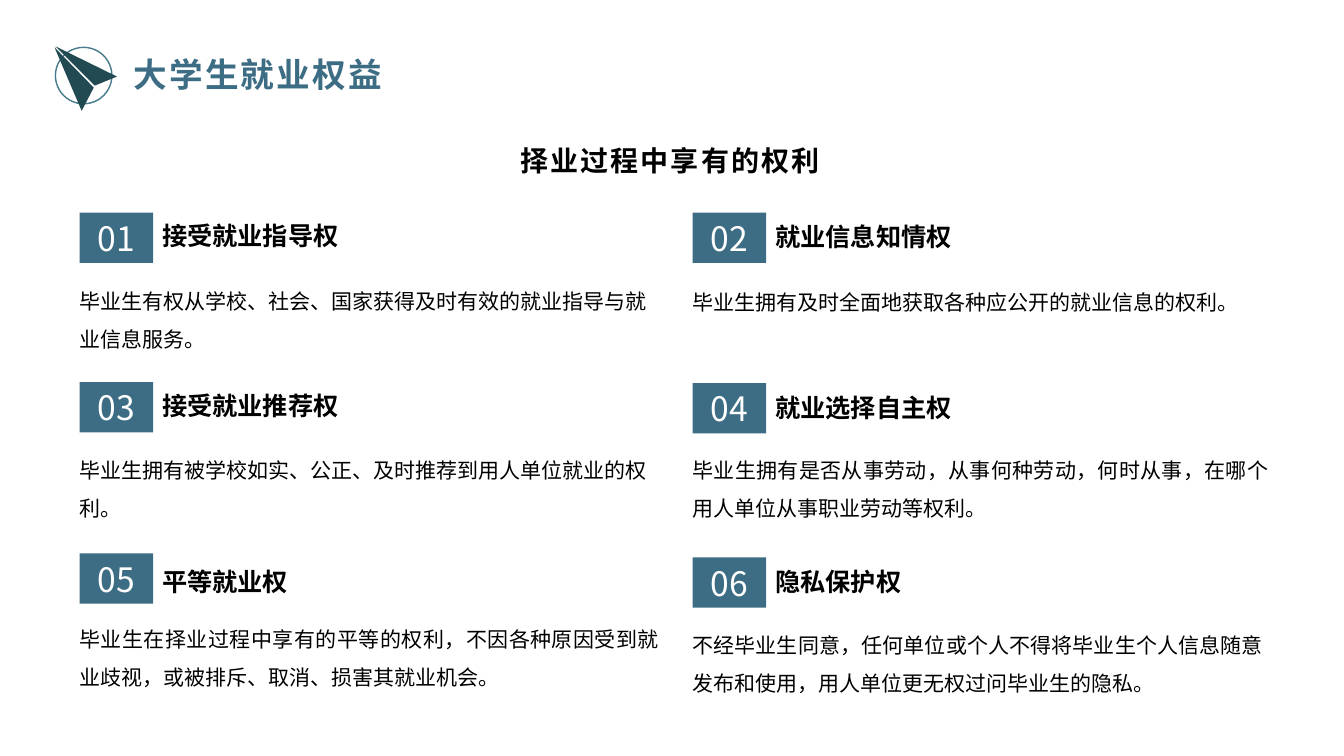
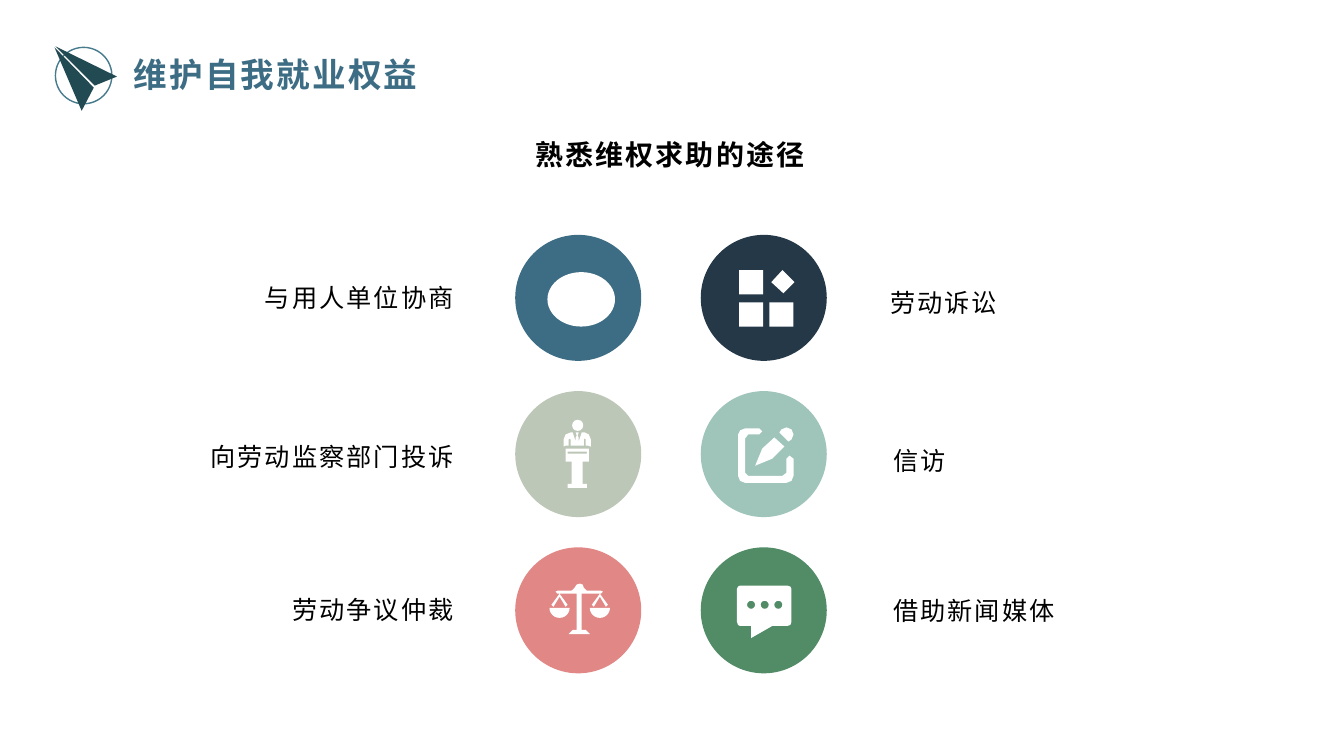
from math import cos, pi, sin

from lxml import etree
from pptx import Presentation
from pptx.dml.color import RGBColor
from pptx.enum.shapes import MSO_SHAPE
from pptx.enum.text import MSO_ANCHOR, PP_ALIGN
from pptx.oxml.ns import qn
from pptx.util import Pt

PX = 9144
FINE = 10
FONT = "Noto Sans CJK SC"
COLORS = {
    "blue": "3D6D84",
    "ring": "467A8C",
    "plane": "224A52",
    "navy": "243848",
    "sage": "BDC7B7",
    "mint": "9FC5BB",
    "coral": "E18786",
    "green": "518C67",
    "white": "FFFFFF",
    "black": "000000",
}

RECT = MSO_SHAPE.RECTANGLE
OVAL = MSO_SHAPE.OVAL
LEFT, CENTER, RIGHT, JUSTIFY = PP_ALIGN.LEFT, PP_ALIGN.CENTER, PP_ALIGN.RIGHT, PP_ALIGN.JUSTIFY
TOP, MIDDLE = MSO_ANCHOR.TOP, MSO_ANCHOR.MIDDLE

DISC = 125
DISC_LEFTS = (511, 695)
DISC_TOPS = (233, 388, 543)
COLUMN_LEFTS = (79, 687)

RIGHTS = [
    ("接受就业指导权", "毕业生有权从学校、社会、国家获得及时有效的就业指导与就业信息服务。",
     211, 214, 269, 583),
    ("就业信息知情权", "毕业生拥有及时全面地获取各种应公开的就业信息的权利。",
     211, 215, 270, 611),
    ("接受就业推荐权", "毕业生拥有被学校如实、公正、及时推荐到用人单位就业的权利。",
     379, 382, 437, 583),
    ("就业选择自主权", "毕业生拥有是否从事劳动，从事何种劳动，何时从事，在哪个用人单位从事职业劳动等权利。",
     380, 384, 437, 591),
    ("平等就业权", "毕业生在择业过程中享有的平等的权利，不因各种原因受到就业歧视，或被排斥、取消、损害其就业机会。",
     549, 557, 604, 595),
    ("隐私保护权", "不经毕业生同意，任何单位或个人不得将毕业生个人信息随意发布和使用，用人单位更无权过问毕业生的隐私。",
     553, 557, 610, 586),
]


def box(x, y, width, height):
    return [(x, y), (x + width, y), (x + width, y + height), (x, y + height)]


def arc(x, y, radius, turn=2 * pi, steps=12):
    return [(x + radius * cos(turn * step / steps), y + radius * sin(turn * step / steps))
            for step in range(steps + 1)]


def scale_pan(x):
    strings = [(x, 46), (x + 8, 57), (x + 6, 59), (x, 49), (x - 6, 59), (x - 8, 57)]
    return [strings, arc(x, 60, 10, turn=pi)]


PLANE = [[(116, 76), (94, 85), (55, 46)], [(93, 87), (81, 110), (54, 47)]]
LAWSUIT = [
    *[box(x, y, 24, 24) for x, y in ((38, 35), (38, 67), (68, 67))],
    [(93, 47), (81, 35), (70, 47), (82, 58)],
]
COMPLAINT = [
    arc(62, 34, 5.5),
    [(55, 41), (57, 41), (60, 50), (60, 46), (61, 44), (60, 41), (63, 41), (62, 44),
     (63, 46), (63, 50), (66, 41), (69, 41), (73, 43), (75, 48), (75, 55), (72, 54),
     (70, 54), (70, 48), (69, 47), (68, 48), (68, 54), (55, 54), (55, 48), (54, 47),
     (53, 48), (53, 54), (50, 54), (48, 55), (48, 48), (50, 43)],
    [(50, 57), (73, 57), (73, 70), (67, 70), (67, 92), (71, 92), (71, 96), (52, 96),
     (52, 92), (56, 92), (56, 70), (50, 70)],
    box(52, 60, 19, 2),
]
PETITION = [
    [(58, 43), (47, 43), (44, 47), (44, 81), (47, 84), (81, 84), (85, 81), (85, 67),
     (88, 64), (92, 67), (92, 84), (90, 89), (85, 91), (44, 91), (39, 89), (37, 84),
     (37, 43), (39, 39), (44, 37), (58, 37), (61, 40)],
    [(83, 55), (71, 67), (54, 74), (61, 57), (73, 46)],
    [(90, 48), (87, 50), (78, 41), (80, 38), (85, 36), (90, 38), (92, 43)],
]
ARBITRATION = [
    [(64, 36), (67, 37), (68, 40), (71, 43), (85, 43), (87, 44), (85, 46), (66, 46),
     (66, 82), (70, 82), (74, 86), (53, 86), (57, 82), (61, 82), (61, 46), (42, 46),
     (40, 44), (42, 43), (56, 43), (59, 40), (61, 37)],
    *scale_pan(44),
    *scale_pan(84),
]
MEDIA = [
    [(36, 41), (37, 39), (39, 38), (86, 38), (89, 39), (90, 41), (90, 74), (89, 77),
     (86, 78), (71, 78), (50, 90), (50, 78), (39, 78), (37, 77), (36, 74)],
    *[arc(50 + 13.5 * dot, 57, 4) for dot in range(3)],
]

CHANNELS = [
    ("与用人单位协商", (186, 273), "blue", None),
    ("劳动诉讼", (873, 278), "navy", LAWSUIT),
    ("向劳动监察部门投诉", (186, 430), "sage", COMPLAINT),
    ("信访", (876, 434), "mint", PETITION),
    ("劳动争议仲裁", (186, 582), "coral", ARBITRATION),
    ("借助新闻媒体", (876, 583), "green", MEDIA),
]


def rgb(name):
    return RGBColor.from_string(COLORS[name])


def px(*lengths):
    return [length * PX for length in lengths]


def write(frame, text, size, color="black", bold=False, align=LEFT,
          spacing=None, tracking=0, anchor=TOP):
    frame.word_wrap = True
    frame.vertical_anchor = anchor
    paragraph = frame.paragraphs[0]
    paragraph.text = text
    paragraph.alignment = align
    paragraph.line_spacing = spacing
    font = paragraph.font
    font.size = Pt(size)
    font.bold = bold
    font.name = FONT
    font.color.rgb = rgb(color)
    properties = font._rPr
    etree.SubElement(properties, qn("a:ea")).set("typeface", FONT)
    if tracking:
        properties.set("spc", str(round(tracking * 100)))


def add_text(slide, area, text, size, **style):
    write(slide.shapes.add_textbox(*px(*area)).text_frame, text, size, **style)


def paint(shape, fill):
    shape.shadow.inherit = False
    shape.fill.solid()
    shape.fill.fore_color.rgb = rgb(fill)
    shape.line.fill.background()


def add_preset(slide, kind, area, fill):
    shape = slide.shapes.add_shape(kind, *px(*area))
    paint(shape, fill)
    return shape


def add_outline(slide, contours, fill, left=0, top=0):
    placed = [[(round((left + x) * FINE), round((top + y) * FINE)) for x, y in contour]
              for contour in contours]
    builder = slide.shapes.build_freeform(*placed[0][0], scale=PX / FINE)
    for index, contour in enumerate(placed):
        if index:
            builder.move_to(*contour[0])
        builder.add_line_segments(contour[1:], close=True)
    paint(builder.convert_to_shape(), fill)


def add_topic_slide(deck, title, subtitle, subtitle_top):
    slide = deck.slides.add_slide(deck.slide_layouts[6])
    add_text(slide, (123, 49, 667, 50), title, 24, color="blue", bold=True, tracking=1.5)
    ring = add_preset(slide, OVAL, (55, 47, 56, 56), "white")
    ring.fill.background()
    ring.line.color.rgb = rgb("ring")
    ring.line.width = Pt(1)
    add_outline(slide, PLANE, "plane")
    add_text(slide, (73, subtitle_top, 1183, 77), subtitle, 20, bold=True,
             align=CENTER, spacing=2.0, tracking=1.5)
    return slide


def add_right(slide, index, heading, detail, badge_top, heading_top, detail_top, detail_width):
    left = COLUMN_LEFTS[index % 2]
    badge = add_preset(slide, RECT, (left, badge_top, 73, 50), "blue")
    write(badge.text_frame, f"{index + 1:02d}", 24, color="white", align=CENTER, anchor=MIDDLE)
    add_text(slide, (left + 72, heading_top, 195, 40), heading, 18, bold=True)
    add_text(slide, (left - 10, detail_top, detail_width, 86), detail, 15,
             align=JUSTIFY, spacing=1.5)


def add_channel(slide, index, label, label_at, color, icon):
    row, column = divmod(index, 2)
    left, top = DISC_LEFTS[column], DISC_TOPS[row]
    add_text(slide, (*label_at, 274, 30), label, 18, align=(RIGHT, LEFT)[column],
             spacing=1.5, tracking=1.5, anchor=MIDDLE)
    add_preset(slide, OVAL, (left, top, DISC, DISC), color)
    if icon:
        add_outline(slide, icon, "white", left, top)
    else:
        add_preset(slide, OVAL, (left + 32, top + 37, 67, 54), "white")


def main():
    deck = Presentation()
    deck.slide_width, deck.slide_height = px(1333, 750)

    rights_slide = add_topic_slide(deck, "大学生就业权益", "择业过程中享有的权利", 104)
    for index, right in enumerate(RIGHTS):
        add_right(rights_slide, index, *right)

    channels_slide = add_topic_slide(deck, "维护自我就业权益", "熟悉维权求助的途径", 98)
    for index, channel in enumerate(CHANNELS):
        add_channel(channels_slide, index, *channel)

    deck.save("out.pptx")


if __name__ == "__main__":
    main()
